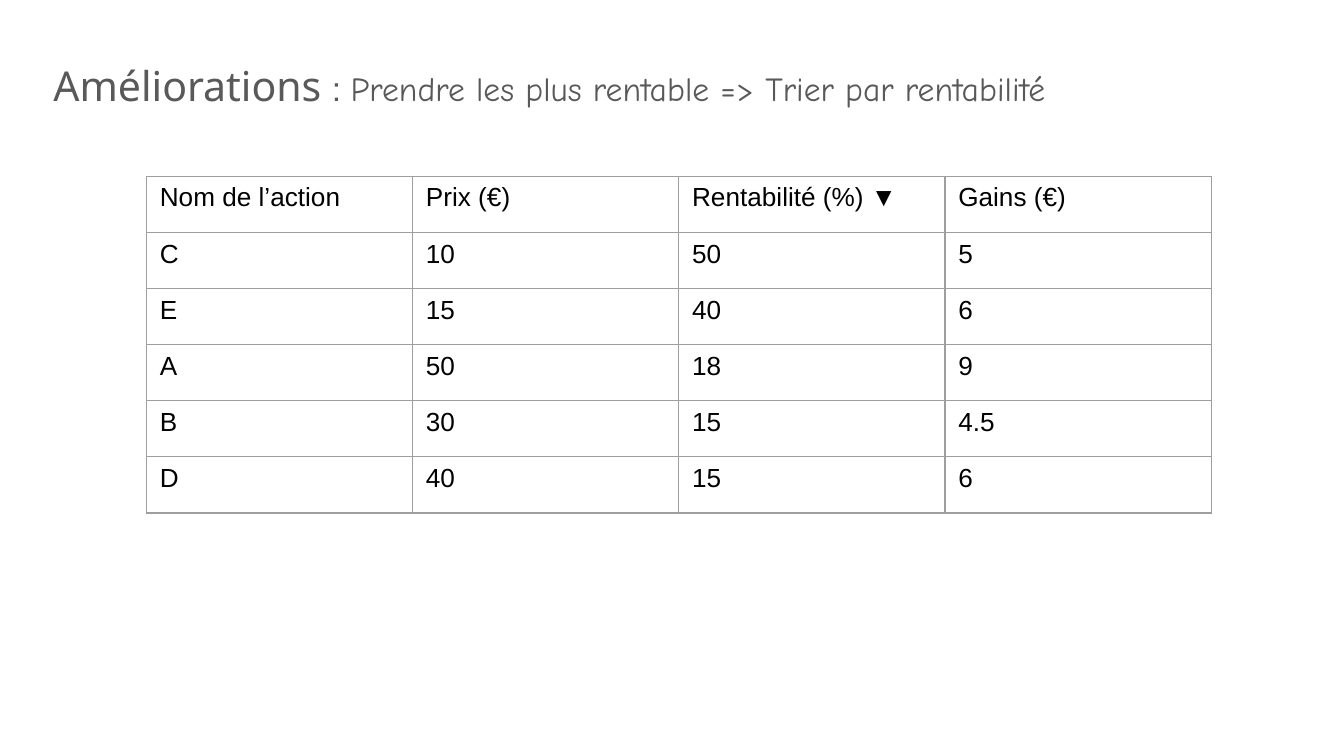
from lxml.etree import SubElement
from pptx import Presentation
from pptx.dml.color import RGBColor
from pptx.enum.text import MSO_ANCHOR as Anchor, MSO_AUTO_SIZE as AutoSize, PP_ALIGN as Align
from pptx.oxml.ns import qn
from pptx.util import Cm, Pt


def rgb(value):
    return RGBColor.from_string(value)


class Deck:
    background = "FFFFFF"
    title_color = "595959"
    cell_color = "000000"
    border_color = "9E9E9E"
    cell_font = "Arial"
    cell_size = 14

    def __init__(self, width, height):
        self.prs = Presentation()
        self.prs.slide_width, self.prs.slide_height = Cm(width), Cm(height)
        self.s = self.prs.slides.add_slide(self.prs.slide_layouts[5])
        fill = self.s.background.fill
        fill.solid()
        fill.fore_color.rgb = rgb(self.background)

    def run(self, p, text, font, size, color):
        r = p.add_run()
        r.text = text
        r.font.name, r.font.size = font, Pt(size)
        r.font.color.rgb = rgb(color)

    def title(self, left, top, width, height, runs):
        sp = self.s.shapes.title
        sp.left, sp.top, sp.width, sp.height = Cm(left), Cm(top), Cm(width), Cm(height)
        tf = sp.text_frame
        tf.word_wrap, tf.auto_size = True, AutoSize.NONE
        tf.vertical_anchor = Anchor.TOP
        tf.margin_left = tf.margin_right = tf.margin_top = tf.margin_bottom = Cm(0.25)
        p = tf.paragraphs[0]
        p.alignment, p.line_spacing = Align.LEFT, 1.15
        p.space_before, p.space_after = Pt(0), Pt(12)
        for text, font, size in runs:
            self.run(p, text, font, size, self.title_color)

    def borders(self, cell):
        props = cell._tc.get_or_add_tcPr()
        for i, side in enumerate(("lnL", "lnR", "lnT", "lnB")):
            line = props.makeelement(qn(f"a:{side}"), {"w": str(Pt(0.75))})
            fill = SubElement(line, qn("a:solidFill"))
            SubElement(fill, qn("a:srgbClr"), val=self.border_color)
            props.insert(i, line)

    def table(self, left, top, col_width, row_height, rows):
        n_rows, n_cols = len(rows), len(rows[0])
        frame = self.s.shapes.add_table(n_rows, n_cols, Cm(left), Cm(top),
                                        Cm(col_width * n_cols), Cm(row_height * n_rows))
        table = frame.table
        table.first_row = table.horz_banding = False
        for col in table.columns:
            col.width = Cm(col_width)
        for row, texts in zip(table.rows, rows):
            row.height = Cm(row_height)
            for cell, text in zip(row.cells, texts):
                cell.fill.background()
                cell.margin_left = cell.margin_right = Cm(0.25)
                cell.margin_top = cell.margin_bottom = Cm(0.13)
                self.borders(cell)
                self.run(cell.text_frame.paragraphs[0], text,
                         self.cell_font, self.cell_size, self.cell_color)

    def save(self):
        self.prs.save("out.pptx")


def main():
    deck = Deck(25.4, 14.28)
    deck.table(2.77, 3.33, 5.03, 1.06, [
        ("Nom de l’action", "Prix (€)", "Rentabilité (%) ▼", "Gains (€)"),
        ("C", "10", "50", "5"),
        ("E", "15", "40", "6"),
        ("A", "50", "18", "9"),
        ("B", "30", "15", "4.5"),
        ("D", "40", "15", "6"),
    ])
    deck.title(0.76, 0.76, 23.67, 1.57, [
        ("Améliorations ", "Noto Sans", 22),
        (": ", "Arial", 18),
        ("Prendre les plus rentable => Trier par rentabilité", "Comic Neue", 18),
    ])
    deck.save()


if __name__ == "__main__":
    main()
